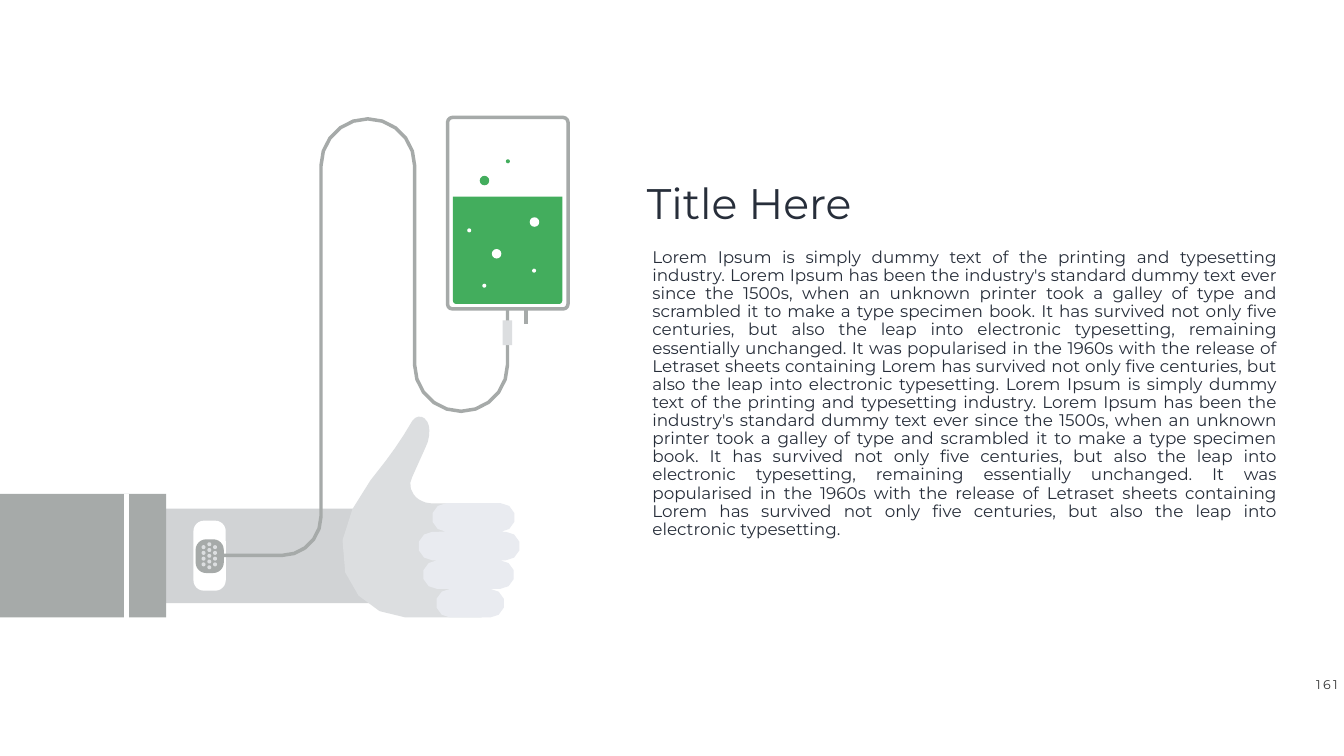
import math

import pptx
import pptx.dml.color
import pptx.enum.shapes
import pptx.enum.text
import pptx.oxml
import pptx.oxml.ns
import pptx.util

Cm = pptx.util.Cm
Pt = pptx.util.Pt
SHAPE = pptx.enum.shapes.MSO_SHAPE
ALIGN = pptx.enum.text.PP_ALIGN
ANCHOR = pptx.enum.text.MSO_ANCHOR

COLORS = {
    "white": "FFFFFF", "ink": "272E3A", "number": "323333",
    "grey": "A6AAA9", "skin": "D1D3D5", "hand": "DCDEE0",
    "fingers": "E9EBF0", "green": "43AD5D",
}

SENTENCES = (
    "Lorem Ipsum is simply dummy text of the printing and typesetting industry. "
    "Lorem Ipsum has been the industry's standard dummy text ever since the 1500s, "
    "when an unknown printer took a galley of type and scrambled it to make a type "
    "specimen book. It has survived not only five centuries, but also the leap into "
    "electronic typesetting, remaining essentially unchanged. It was popularised in "
    "the 1960s with the release of Letraset sheets containing Lorem has survived not "
    "only five centuries, but also the leap into electronic typesetting."
)

# One point is a straight side; three points are a Bezier curve.
HAND_START = (20.78, 21.21)
HAND_SIDES = [
    [(20.37, 21.92), (19.91, 22.61), (19.43, 23.24)],
    [(18.67, 24.21)],
    [(17.63, 25.58), (16.87, 27.23), (17.4, 28.85)],
    [(17.83, 30.18), (19.05, 31.06), (20.45, 31.12)],
    [(24.28, 31.12)],
    [(24.28, 25.37)],
    [(21.89, 25.37)],
    [(21.67, 25.37), (21.44, 25.35), (21.26, 25.25)],
    [(21.08, 25.17), (20.96, 25.07), (20.85, 24.92)],
    [(20.65, 24.66), (20.62, 24.31), (20.78, 24.03)],
    [(21.44, 22.56)],
    [(21.59, 22.28), (21.64, 21.99), (21.64, 21.69)],
    [(21.64, 21.49), (21.59, 21.23), (21.39, 21.08)],
    [(21.26, 20.98), (21.06, 20.96), (20.93, 21.06)],
]
FINGER_ENDS = [(21.77, 25.96), (21.08, 26.21), (21.31, 25.93), (21.97, 25.43)]


def rgb(name):
    return pptx.dml.color.RGBColor.from_string(COLORS[name])


def paint(shape, fill=None, line=None, width=5):
    shape.shadow.inherit = False
    if fill:
        shape.fill.solid()
        shape.fill.fore_color.rgb = rgb(fill)
    else:
        shape.fill.background()
    if line:
        shape.line.color.rgb = rgb(line)
        shape.line.width = Pt(width)
    else:
        shape.line.fill.background()


def add_preset(shapes, kind, place, adjust=(), **look):
    shape = shapes.add_shape(kind, *map(Cm, place))
    for index, value in enumerate(adjust):
        shape.adjustments[index] = value
    paint(shape, **look)


def add_dot(shapes, left, top, size, fill):
    add_preset(shapes, SHAPE.OVAL, (left, top, size, size), fill=fill)


def add_outline(shapes, points, close=True, **look):
    corners = [(Cm(x), Cm(y)) for x, y in points]
    builder = shapes.build_freeform(*corners[0])
    builder.add_line_segments(corners[1:], close=close)
    paint(builder.convert_to_shape(), **look)


def add_upright(shapes, x, top, bottom, color, width):
    """Draw a vertical line."""
    line = shapes.add_connector(
        pptx.enum.shapes.MSO_CONNECTOR.STRAIGHT, Cm(x), Cm(top), Cm(x), Cm(bottom))
    line.line.color.rgb = rgb(color)
    line.line.width = Pt(width)
    properties = line._element.spPr
    properties.append(pptx.oxml.parse_xml(
        "<a:effectLst %s/>" % pptx.oxml.ns.nsdecls("a")))


def arc(x, y, radius, start, end, steps):
    """Return points round a centre; degrees run clockwise from the right."""
    angles = [math.radians(start + (end - start) * i / steps) for i in range(steps + 1)]
    return [(x + radius * math.cos(a), y + radius * math.sin(a)) for a in angles]


def trace(start, sides, steps=3):
    """Return points along straight sides and Bezier curves."""
    points = [start]
    for side in sides:
        if len(side) == 1:
            points += side
            continue
        nodes = [points[-1], *side]
        for i in range(1, steps + 1):
            t = i / steps
            weights = [math.comb(3, k) * (1 - t) ** (3 - k) * t ** k for k in range(4)]
            points.append(tuple(sum(w * node[axis] for w, node in zip(weights, nodes))
                                for axis in (0, 1)))
    return points


def write(box, text, place, size, color="ink", align=ALIGN.LEFT, anchor=ANCHOR.TOP,
          spacing=1.0, insets=(0.25, 0.13), tracking=None):
    """Place a box and fill it with one formatted paragraph."""
    box.left, box.top, box.width, box.height = map(Cm, place)
    frame = box.text_frame
    frame.auto_size = pptx.enum.text.MSO_AUTO_SIZE.NONE
    frame.word_wrap = True
    frame.vertical_anchor = anchor
    frame.margin_left = frame.margin_right = Cm(insets[0])
    frame.margin_top = frame.margin_bottom = Cm(insets[1])
    para = frame.paragraphs[0]
    layout = para._p.get_or_add_pPr()
    layout.set("marL", "0")
    layout.set("indent", "0")
    layout.append(pptx.oxml.parse_xml("<a:buNone %s/>" % pptx.oxml.ns.nsdecls("a")))
    para.alignment = align
    para.line_spacing = spacing
    para.space_before = Pt(0)
    span = para.add_run()
    span.text = text
    span.font.name = "Montserrat"
    span.font.size = Pt(size)
    span.font.color.rgb = rgb(color)
    if tracking:
        span.font._element.set("spc", str(round(tracking * 100)))


def draw_arm(shapes):
    add_outline(shapes, [(17.88, 25.63), (8.36, 25.63), (8.36, 30.4), (18.59, 30.4)],
                fill="skin")
    add_preset(shapes, SHAPE.RECTANGLE, (-0.18, 24.89, 8.56, 6.22), fill="grey")
    add_upright(shapes, 6.38, 24.89, 31.14, "white", 7)
    add_outline(shapes, trace(HAND_START, HAND_SIDES), fill="hand")

    radius = 0.72
    tips, knuckles = [], []
    for row, (left, right) in enumerate(FINGER_ENDS):
        middle = 25.36 + radius * (2 * row + 1)
        tips += arc(right - radius, middle, radius, -90, 90, 5)
        knuckles += arc(left + radius, middle, radius, 270, 90, 5)
    add_outline(shapes, tips + knuckles[::-1], fill="fingers")


def draw_drip(shapes):
    add_preset(shapes, SHAPE.ROUNDED_RECTANGLE, (9.75, 26.24, 1.63, 3.53), [0.326],
               fill="white")
    add_preset(shapes, SHAPE.ROUNDED_RECTANGLE, (9.86, 27.18, 1.42, 1.7), [0.372],
               fill="grey")
    tube = [(10.92, 27.99), *arc(14.22, 26.03, 1.96, 90, 0, 5),
            *arc(18.54, 8.35, 2.36, 180, 360, 10),
            *arc(23.24, 18.39, 2.34, 180, 0, 10), (25.58, 15.62)]
    add_outline(shapes, tube, close=False, line="grey")
    add_preset(shapes, SHAPE.RECTANGLE, (25.34, 16.15, 0.48, 1.24), fill="hand")
    add_upright(shapes, 26.5, 15.6, 16.33, "grey", 5)
    add_preset(shapes, SHAPE.ROUNDED_RECTANGLE, (22.56, 5.92, 6.07, 9.65), [0.04],
               line="grey")
    add_preset(shapes, SHAPE.ROUND_2_SAME_RECTANGLE, (22.83, 9.91, 5.51, 5.41),
               [0, 0.03], fill="green")
    for left, top, size, fill in [
            (24.79, 12.55, 0.48, "white"), (26.7, 10.95, 0.48, "white"),
            (24.18, 8.86, 0.48, "green"), (25.5, 8.03, 0.2, "green"),
            (24.31, 14.3, 0.2, "white"), (26.82, 13.54, 0.2, "white"),
            (23.55, 11.51, 0.2, "white")]:
        add_dot(shapes, left, top, size, fill)
    pitch = 0.29
    for column, count in enumerate((4, 5, 4)):
        for row in range(count):
            add_dot(shapes, 10.16 + column * pitch,
                    27.91 + (row - (count - 1) / 2) * pitch, 0.2, "hand")


def main():
    deck = pptx.Presentation()
    deck.slide_width, deck.slide_height = Cm(67.74), Cm(38.1)
    page = deck.slides.add_slide(deck.slide_layouts[1])
    draw_arm(page.shapes.add_group_shape().shapes)
    draw_drip(page.shapes.add_group_shape().shapes)
    write(page.shapes.title, "Title Here", (32.5, 9.3, 26.21, 2.39), 61,
          spacing=0.8, insets=(0.1, 0.1))
    write(page.placeholders[1], " ".join([SENTENCES] * 2), (32.63, 12.41, 31.96, 15.01),
          24, align=ALIGN.JUSTIFY, spacing=0.9)
    number_place = (66.04, 33.99, 1.68, 0.99)
    write(page.shapes.add_textbox(*map(Cm, number_place)), "161", number_place, 18,
          color="number", align=ALIGN.CENTER, anchor=ANCHOR.MIDDLE, insets=(0, 0),
          tracking=3.6)
    deck.save("out.pptx")


if __name__ == "__main__":
    main()
